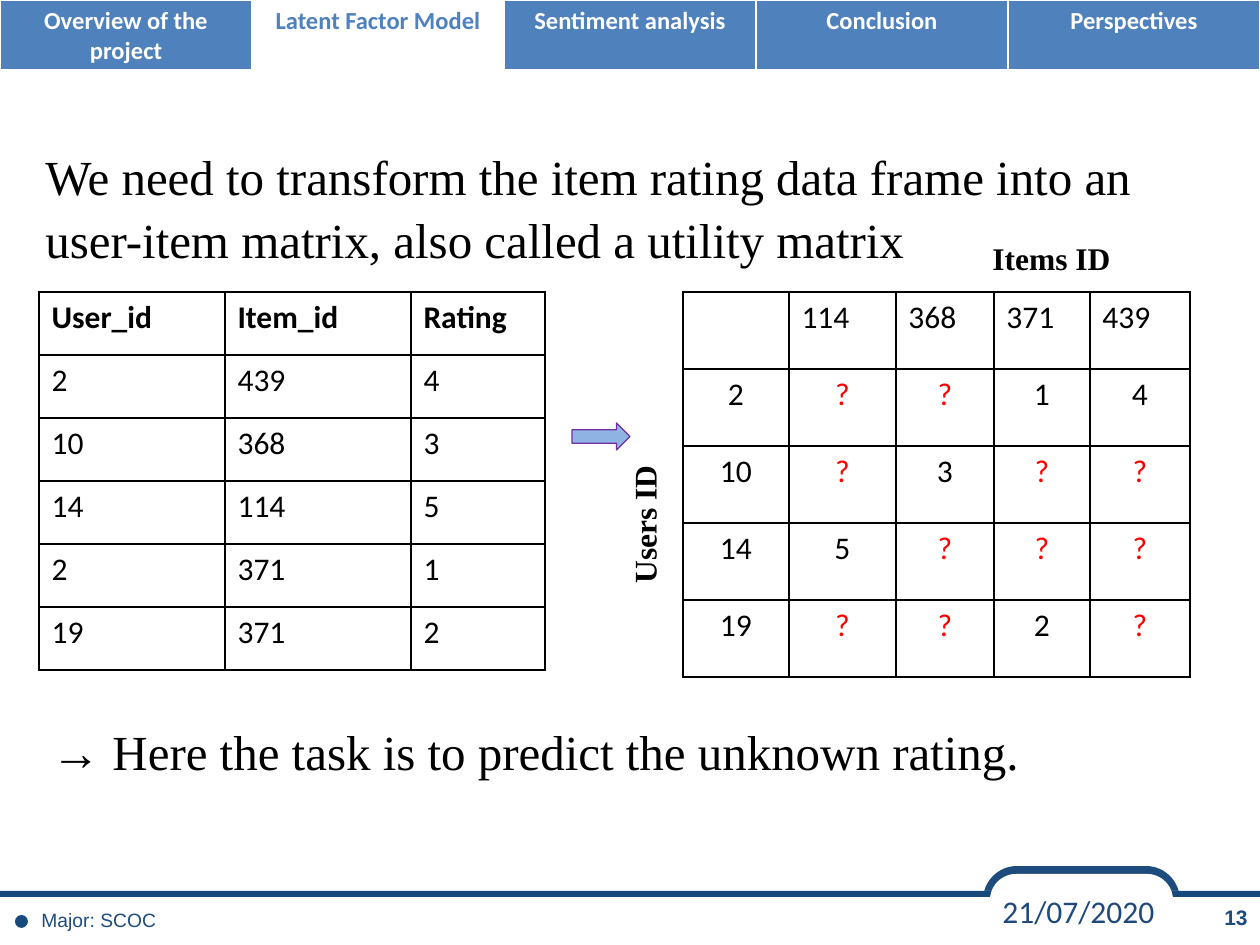
from lxml import etree
from pptx import Presentation, util as u
from pptx.dml.color import RGBColor
from pptx.enum import shapes, text
from pptx.oxml.ns import qn

PX = 914400 / 126
WHITE = RGBColor(0xFF, 0xFF, 0xFF)
BLACK = RGBColor(0, 0, 0)
RED = RGBColor(0xFF, 0, 0)
TAB_BLUE = RGBColor(0x4F, 0x81, 0xBD)
BAR_BLUE = RGBColor(0x17, 0x4A, 0x7C)
FOOTER_BLUE = RGBColor(0x1E, 0x4C, 0x7C)
DATE_BLUE = RGBColor(0x1F, 0x49, 0x7D)
ARROW_BLUE = RGBColor(0x8E, 0xB4, 0xE3)
PURPLE = RGBColor(0x70, 0x30, 0xA0)

SHAPE = shapes.MSO_SHAPE
LEFT, CENTER, RIGHT = text.PP_ALIGN.LEFT, text.PP_ALIGN.CENTER, text.PP_ALIGN.RIGHT
SERIF, SANS, BODY = "Times New Roman", "Arial", "Calibri"

SECTIONS = ["Overview of the project", "Latent Factor Model", "Sentiment analysis",
            "Conclusion", "Perspectives"]
CURRENT_SECTION = "Latent Factor Model"
RATINGS = [(2, 439, 4), (10, 368, 3), (14, 114, 5), (2, 371, 1), (19, 371, 2)]
USERS = [2, 10, 14, 19]
ITEMS = [114, 368, 371, 439]


def px(*lengths):
    return [u.Emu(round(length * PX)) for length in lengths]


class SlideWriter:
    def __init__(self, slide):
        self.shapes = slide.shapes

    def style(self, para, size, font, color, bold=False, align=LEFT):
        para.alignment = align
        for span in para.runs:
            span.font.size = u.Pt(size)
            span.font.name = font
            span.font.bold = bold
            span.font.color.rgb = color

    def shape(self, kind, at, fill, line=None, weight=0):
        shape = self.shapes.add_shape(kind, *px(*at))
        shape.shadow.inherit = False
        shape.fill.solid()
        shape.fill.fore_color.rgb = fill
        if line is None:
            shape.line.fill.background()
        else:
            shape.line.color.rgb = line
            shape.line.width = u.Pt(weight)
        return shape

    def text(self, at, words, size, font, color, bold=False, align=LEFT,
             spacing=None, middle=False, rotation=0):
        box = self.shapes.add_textbox(*px(*at))
        box.rotation = rotation
        frame = box.text_frame
        frame.word_wrap = True
        if middle:
            frame.vertical_anchor = text.MSO_ANCHOR.MIDDLE
        frame.text = words
        para = frame.paragraphs[0]
        if spacing:
            para.line_spacing = spacing
        self.style(para, size, font, color, bold, align)

    def table(self, left, top, widths, row_height, rows, style_cell):
        """Draw rows of words; style_cell(row, column, cell) formats each cell."""
        at = px(left, top, sum(widths), row_height * len(rows))
        table = self.shapes.add_table(len(rows), len(widths), *at).table
        table.first_row = table.horz_banding = False
        for column, width in zip(table.columns, px(*widths)):
            column.width = width
        for r, row in enumerate(rows):
            table.rows[r].height = px(row_height)[0]
            for c, words in enumerate(row):
                cell = table.cell(r, c)
                cell.text = str(words)
                style_cell(r, c, cell)

    def borders(self, cell, color, bottom=1):
        properties = cell._tc.get_or_add_tcPr()
        for index, side in enumerate("LRTB"):
            weight = bottom if side == "B" else 1
            line = etree.Element(qn(f"a:ln{side}"), w=str(u.Pt(weight)))
            fill = etree.SubElement(line, qn("a:solidFill"))
            etree.SubElement(fill, qn("a:srgbClr"), val=str(color))
            properties.insert(index, line)

    def section_cell(self, row, column, cell):
        active = SECTIONS[column] == CURRENT_SECTION
        cell.fill.solid()
        cell.fill.fore_color.rgb = WHITE if active else TAB_BLUE
        self.borders(cell, WHITE, bottom=3)
        self.style(cell.text_frame.paragraphs[0], 14, BODY,
                   TAB_BLUE if active else WHITE, True, CENTER)

    def data_cell(self, cell, bold=False, align=LEFT):
        cell.fill.background()
        self.borders(cell, BLACK)
        color = RED if cell.text == "?" else BLACK
        self.style(cell.text_frame.paragraphs[0], 18, BODY, color, bold, align)

    def rating_cell(self, row, column, cell):
        self.data_cell(cell, bold=row == 0)

    def matrix_cell(self, row, column, cell):
        self.data_cell(cell, align=CENTER if row else LEFT)


def draw_footer(page):
    tab = page.shape(SHAPE.ROUNDED_RECTANGLE, (987, 870, 189, 60), WHITE, FOOTER_BLUE, 4.5)
    page.shape(SHAPE.RECTANGLE, (0, 891, 1260, 54), WHITE)
    page.shape(SHAPE.RECTANGLE, (0, 891, 1260, 6), BAR_BLUE)
    tab_inside = page.shape(SHAPE.ROUNDED_RECTANGLE, (990, 874, 183, 52), WHITE)
    for rounded in (tab, tab_inside):
        rounded.adjustments[0] = 0.5
    page.text((1176, 898, 84, 42), "13", 12, SANS, FOOTER_BLUE, True, RIGHT)
    page.shape(SHAPE.OVAL, (15, 915, 13, 13), BAR_BLUE)
    page.text((29, 895, 534, 49), "Major: SCOC", 11, SANS, FOOTER_BLUE, middle=True)
    page.text((990, 886, 185, 50), "21/07/2020", 18, BODY, DATE_BLUE)


def main():
    deck = Presentation()
    deck.slide_width, deck.slide_height = px(1260, 945)
    page = SlideWriter(deck.slides.add_slide(deck.slide_layouts[6]))

    draw_footer(page)
    page.table(0, 0, [252] * 5, 71, [SECTIONS], page.section_cell)

    rating_rows = [("User_id", "Item_id", "Rating")] + RATINGS
    page.table(39, 292, [186, 186, 134], 63, rating_rows, page.rating_cell)

    known = {(user, item): rating for user, item, rating in RATINGS}
    matrix_rows = [["", *ITEMS]]
    for user in USERS:
        matrix_rows.append([user] + [known.get((user, item), "?") for item in ITEMS])
    page.table(683, 292, [106, 107, 98, 96, 100], 77, matrix_rows, page.matrix_cell)

    page.text((33, 136, 1183, 190),
              "We need to transform the item rating data frame into an user-item matrix, "
              "also called a\u00a0utility matrix", 28, SERIF, BLACK, spacing=1.07)
    page.shape(SHAPE.RIGHT_ARROW, (572, 423, 58, 27), ARROW_BLUE, PURPLE, 0.75)
    page.text((528, 455, 232, 50), "Users ID", 18, SERIF, BLACK, True, rotation=270)
    page.text((980, 233, 232, 50), "Items ID", 18, SERIF, BLACK, True)
    page.text((39, 711, 1172, 131), "→ Here the task is to predict the unknown rating.",
              28, SERIF, BLACK, spacing=1.07)
    deck.save("out.pptx")


if __name__ == "__main__":
    main()
